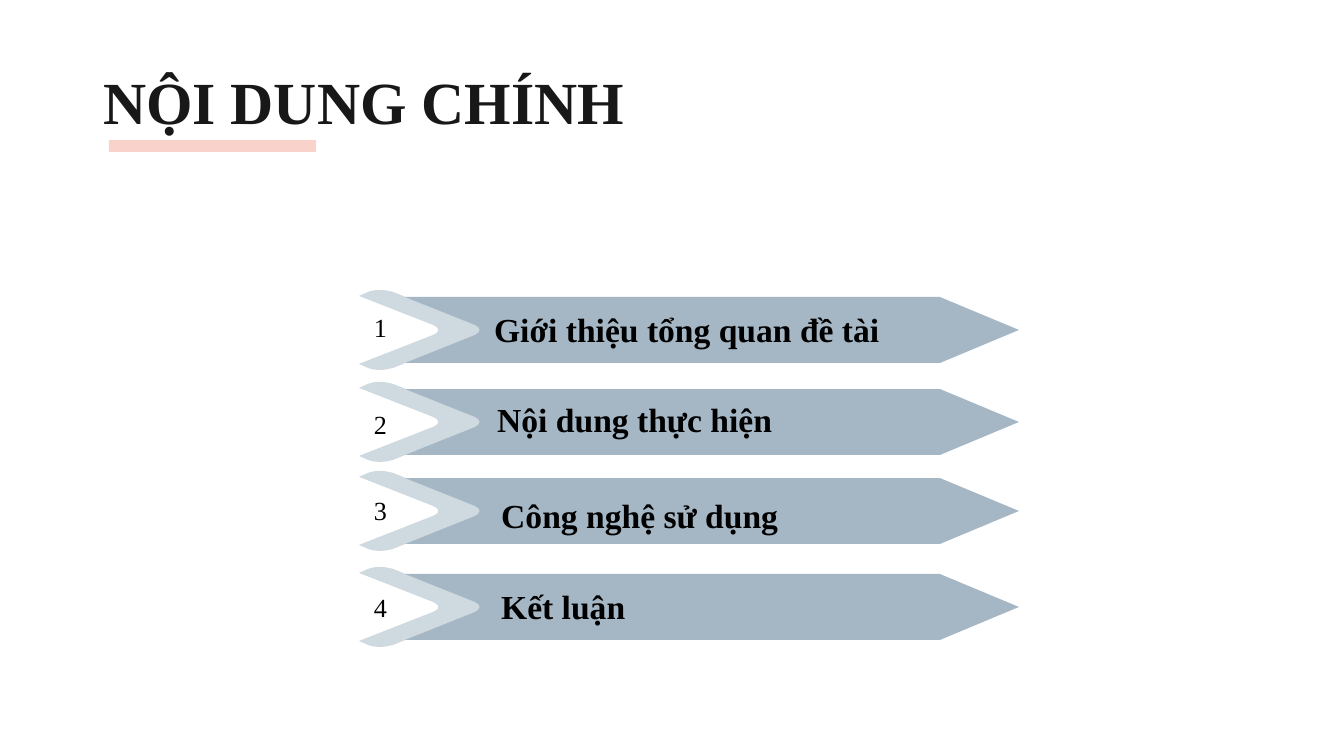
from dataclasses import dataclass

from lxml import etree
from pptx import Presentation
from pptx.dml.color import RGBColor
from pptx.enum.shapes import MSO_SHAPE
from pptx.enum.text import MSO_ANCHOR, PP_ALIGN
from pptx.oxml.ns import qn
from pptx.util import Pt

RECTANGLE = MSO_SHAPE.RECTANGLE
TOP = MSO_ANCHOR.TOP
LEFT, CENTER = PP_ALIGN.LEFT, PP_ALIGN.CENTER

EMU_PER_PX = 914400 / 134.4
SLIDE_SIZE = (1344, 756)


@dataclass(frozen=True)
class Theme:
    font: str = "Times New Roman"
    title_color: str = "181818"
    text_color: str = "000000"
    underline: str = "F4AA9E"
    underline_opacity: int = 52
    chevron: str = "CFD9E0"
    band: str = "A5B7C5"
    title_size: int = 32
    label_size: int = 18
    number_size: int = 14


THEME = Theme()

TITLE = "NỘI DUNG CHÍNH"
TITLE_BOX = (90, 52, 1159, 85)
UNDERLINE_BOX = (109, 140, 207, 12)

# Label, row top, number top, label box (left, top, width)
ROWS = [
    ("Giới thiệu tổng quan đề tài", 290, 305, (481, 302, 427)),
    ("Nội dung thực hiện", 382, 402, (484, 392, 425)),
    ("Công nghệ sử dụng", 471, 488, (488, 488, 437)),
    ("Kết luận", 567, 585, (488, 579, 398)),
]
ROW_LEFT = 359
NUMBER_WIDTH, NUMBER_HEIGHT = 43, 46
LABEL_HEIGHT = 54

# Outlines within a row: one point is a corner, three points are a Bézier curve
CHEVRON = [
    [(21, 0)],
    [(16, 0), (12, 1), (9, 2)],
    [(0, 6)],
    [(74, 35)],
    [(81, 38), (81, 42), (74, 45)],
    [(0, 74)],
    [(9, 78)],
    [(12, 79), (16, 80), (21, 80)],
    [(25, 80), (30, 79), (34, 78)],
    [(116, 45)],
    [(122, 42), (122, 38), (116, 35)],
    [(34, 2)],
    [(30, 1), (25, 0), (21, 0)],
]
BAND = [
    [(46, 7)],
    [(116, 35)],
    [(122, 38), (122, 42), (116, 45)],
    [(46, 73)],
    [(581, 73)],
    [(660, 40)],
    [(581, 7)],
]
CURVE_STEPS = 8


def emu(px):
    return round(px * EMU_PER_PX)


def flatten(outline):
    """Return the outline as corners, with each curve cut into short lines."""
    points = []
    for segment in outline:
        if len(segment) == 1:
            points += segment
            continue
        controls = [points[-1], *segment]
        for step in range(1, CURVE_STEPS + 1):
            t = step / CURVE_STEPS
            weights = ((1 - t) ** 3, 3 * t * (1 - t) ** 2, 3 * t * t * (1 - t), t**3)
            points.append(tuple(
                sum(weight * point[axis] for weight, point in zip(weights, controls))
                for axis in (0, 1)
            ))
    return points


def paint(shape, color):
    shape.shadow.inherit = False
    shape.fill.solid()
    shape.fill.fore_color.rgb = RGBColor.from_string(color)
    shape.line.fill.background()


def add_outline(slide, outline, top, color):
    start, *rest = [(emu(ROW_LEFT + x), emu(top + y)) for x, y in flatten(outline)]
    builder = slide.shapes.build_freeform(*start)
    builder.add_line_segments(rest, close=True)
    paint(builder.convert_to_shape(), color)


def write(shape, text, size, color, bold=False, align=LEFT):
    frame = shape.text_frame
    frame.word_wrap = True
    frame.vertical_anchor = TOP
    paragraph = frame.paragraphs[0]
    paragraph.alignment = align
    run = paragraph.add_run()
    run.text = text
    formats = {"name": THEME.font, "size": Pt(size), "bold": bold}
    for name, value in formats.items():
        setattr(run.font, name, value)
    run.font.color.rgb = RGBColor.from_string(color)


def add_text(slide, box, *content, **formats):
    write(slide.shapes.add_textbox(*map(emu, box)), *content, **formats)


def add_title(slide):
    title = slide.shapes.title
    for name, px in zip(("left", "top", "width", "height"), TITLE_BOX):
        setattr(title, name, emu(px))
    for side in ("left", "top", "right", "bottom"):
        setattr(title.text_frame, f"margin_{side}", emu(13))
    write(title, TITLE, THEME.title_size, THEME.title_color, bold=True)

    underline = slide.shapes.add_shape(RECTANGLE, *map(emu, UNDERLINE_BOX))
    paint(underline, THEME.underline)
    color = underline.fill._xPr.find(qn("a:solidFill"))[0]
    etree.SubElement(color, qn("a:alpha"), val=str(THEME.underline_opacity * 1000))


def add_row(slide, number, label, top, number_top, label_box):
    add_outline(slide, CHEVRON, top, THEME.chevron)
    add_outline(slide, BAND, top, THEME.band)
    add_text(slide, (ROW_LEFT, number_top, NUMBER_WIDTH, NUMBER_HEIGHT),
             str(number), THEME.number_size, THEME.text_color, align=CENTER)
    add_text(slide, (*label_box, LABEL_HEIGHT),
             label, THEME.label_size, THEME.text_color, bold=True)


def main():
    presentation = Presentation()
    presentation.slide_width, presentation.slide_height = map(emu, SLIDE_SIZE)
    slide = presentation.slides.add_slide(presentation.slide_layouts[5])
    add_title(slide)
    for number, row in enumerate(ROWS, 1):
        add_row(slide, number, *row)
    presentation.save("out.pptx")


if __name__ == "__main__":
    main()
